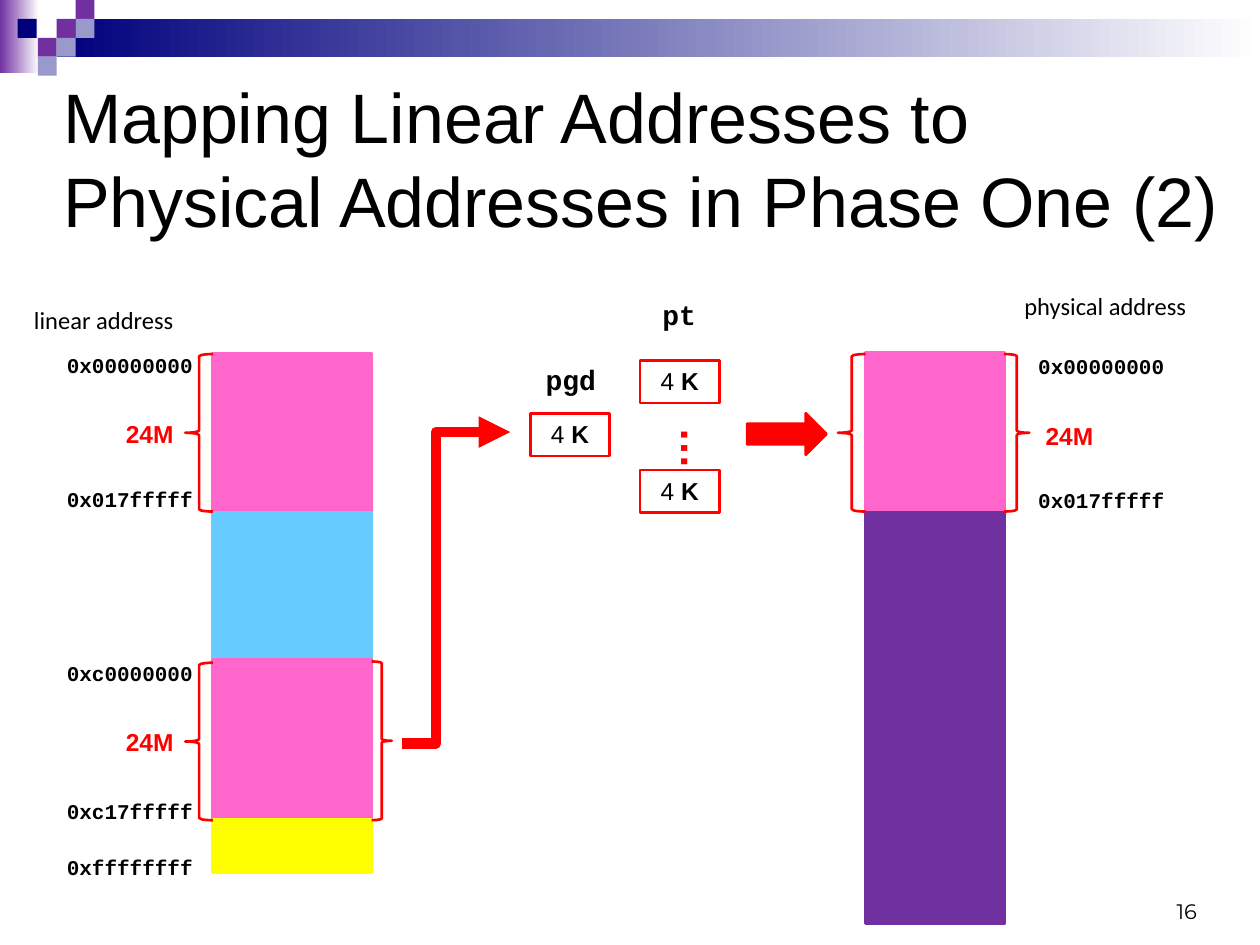
from dataclasses import dataclass

import pptx
import pptx.dml.color
import pptx.enum.shapes
import pptx.enum.text
import pptx.util
from lxml import etree
from pptx.oxml.ns import qn

RGBColor = pptx.dml.color.RGBColor
Shape = pptx.enum.shapes.MSO_SHAPE
Align = pptx.enum.text.PP_ALIGN
Anchor = pptx.enum.text.MSO_ANCHOR

PX = 9144  # EMU; 100 px to the inch

BLACK = RGBColor(0x00, 0x00, 0x00)
WHITE = RGBColor(0xFF, 0xFF, 0xFF)
RED = RGBColor(0xFF, 0x00, 0x00)
PINK = RGBColor(0xFF, 0x66, 0xCC)
SKY = RGBColor(0x66, 0xCC, 0xFF)
YELLOW = RGBColor(0xFF, 0xFF, 0x00)
PURPLE = RGBColor(0x70, 0x30, 0xA0)
NAVY = RGBColor(0x00, 0x00, 0x7D)
LAVENDER = RGBColor(0x99, 0x99, 0xCC)


@dataclass(frozen=True)
class Area:
    left: int
    top: int
    width: int
    height: int

    def emu(self) -> list[int]:
        return [side * PX for side in (self.left, self.top, self.width, self.height)]


@dataclass(frozen=True)
class TextStyle:
    font: str
    size: int
    color: RGBColor = BLACK
    bold: bool = False
    align: Align = Align.LEFT
    margins: tuple[int, int] = (0, 0)  # sides, top and bottom
    anchor: Anchor = Anchor.TOP


@dataclass(frozen=True)
class Label:
    text: str
    area: Area
    style: TextStyle


@dataclass(frozen=True)
class Block:
    area: Area
    color: RGBColor


@dataclass(frozen=True)
class Brace:
    kind: Shape
    area: Area


HEADING = TextStyle("Calibri", 14)
ADDRESS = TextStyle("Courier New", 12, bold=True, align=Align.RIGHT)
SIZE = TextStyle("Arial", 14, RED, True, margins=(10, 5))
TABLE_NAME = TextStyle("Courier New", 16, bold=True, align=Align.CENTER, margins=(10, 5))
PAGE_ENTRY = TextStyle("Arial", 14, align=Align.CENTER, margins=(10, 5))
DOTS = TextStyle("Arial", 24, RED, True, Align.CENTER, (5, 10))
TITLE = TextStyle("Arial", 40, anchor=Anchor.MIDDLE)
NUMBER = TextStyle("Montserrat", 12, align=Align.RIGHT, anchor=Anchor.BOTTOM)

GRADIENT_BARS = [Block(Area(0, 0, 31, 58), PURPLE), Block(Area(45, 15, 955, 30), NAVY)]
TILE = 15
TILES = [
    (45, 15, PURPLE), (60, 0, PURPLE), (60, 15, LAVENDER), (30, 30, PURPLE),
    (14, 15, NAVY), (45, 30, LAVENDER), (30, 45, LAVENDER),
]
MEMORY = [
    Block(Area(169, 281, 126, 125), PINK),
    Block(Area(169, 407, 126, 117), SKY),
    Block(Area(169, 524, 126, 127), PINK),
    Block(Area(169, 651, 126, 41), YELLOW),
    Block(Area(687, 280, 110, 128), PINK),
    Block(Area(687, 407, 110, 326), PURPLE),
]
BRACES = [
    Brace(Shape.LEFT_BRACE, Area(147, 281, 22, 125)),
    Brace(Shape.LEFT_BRACE, Area(147, 526, 22, 125)),
    Brace(Shape.RIGHT_BRACE, Area(295, 525, 16, 126)),
    Brace(Shape.LEFT_BRACE, Area(665, 281, 22, 125)),
    Brace(Shape.RIGHT_BRACE, Area(797, 281, 20, 125)),
]
LABELS = [
    Label("physical address", Area(813, 231, 159, 23), HEADING),
    Label("linear address", Area(27, 242, 120, 23), HEADING),
    Label("0x00000000", Area(42, 280, 111, 20), ADDRESS),
    Label("0x017fffff", Area(42, 386, 111, 20), ADDRESS),
    Label("0xc0000000", Area(42, 524, 111, 20), ADDRESS),
    Label("0xc17fffff", Area(42, 634, 111, 20), ADDRESS),
    Label("0xffffffff", Area(42, 678, 111, 20), ADDRESS),
    Label("0x00000000", Area(813, 281, 111, 20), ADDRESS),
    Label("0x017fffff", Area(813, 387, 111, 20), ADDRESS),
    Label("24M", Area(90, 328, 71, 34), SIZE),
    Label("24M", Area(90, 572, 71, 34), SIZE),
    Label("24M", Area(820, 329, 71, 34), SIZE),
    Label("pt", Area(492, 231, 94, 37), TABLE_NAME),
    Label("pgd", Area(406, 283, 94, 37), TABLE_NAME),
    Label("16", Area(717, 713, 233, 20), NUMBER),
]
PAGES = [Area(421, 328, 63, 34), Area(508, 286, 63, 34), Area(508, 373, 63, 34)]
ELBOW = [(319, 590), (346, 590), (346, 343), (405, 343)]


def add_span(para, text: str, style: TextStyle, bold: bool) -> None:
    span = para.add_run()
    span.text = text
    span.font.name = style.font
    span.font.size = pptx.util.Pt(style.size)
    span.font.bold = bold
    span.font.color.rgb = style.color


def fill_text(box, spans: list[tuple[str, bool]], style: TextStyle) -> None:
    """Write (text, bold) spans as one paragraph of the box."""
    frame = box.text_frame
    frame.word_wrap = True
    frame.auto_size = pptx.enum.text.MSO_AUTO_SIZE.NONE
    frame.vertical_anchor = style.anchor
    frame.margin_left = frame.margin_right = style.margins[0] * PX
    frame.margin_top = frame.margin_bottom = style.margins[1] * PX
    para = frame.paragraphs[0]
    para.alignment = style.align
    for text, bold in spans:
        add_span(para, text, style, bold)


def add_label(page, label: Label):
    box = page.shapes.add_textbox(*label.area.emu())
    fill_text(box, [(label.text, label.style.bold)], label.style)
    return box


def add_figure(page, kind: Shape, area: Area, fill: RGBColor | None = None,
               line: RGBColor | None = None, weight: float = 1.5):
    figure = page.shapes.add_shape(kind, *area.emu())
    figure.shadow.inherit = False
    if fill is None:
        figure.fill.background()
    else:
        figure.fill.solid()
        figure.fill.fore_color.rgb = fill
    if line is None:
        figure.line.fill.background()
    else:
        figure.line.color.rgb = line
        figure.line.width = pptx.util.Pt(weight)
    return figure


def add_header_band(page) -> None:
    for block in GRADIENT_BARS:
        bar = add_figure(page, Shape.RECTANGLE, block.area)
        bar.fill.gradient()
        bar.fill.gradient_angle = 0
        for stop, color in zip(bar.fill.gradient_stops, (block.color, WHITE)):
            stop.color.rgb = color
    for left, top, color in TILES:
        add_figure(page, Shape.RECTANGLE, Area(left, top, TILE, TILE), color)


def add_elbow_arrow(page, points: list[tuple[int, int]]) -> None:
    builder = page.shapes.build_freeform(*points[0], scale=PX)
    builder.add_line_segments(points[1:], close=False)
    arrow = builder.convert_to_shape()
    arrow.shadow.inherit = False
    arrow.fill.background()
    arrow.line.color.rgb = RED
    arrow.line.width = pptx.util.Pt(6)
    etree.SubElement(arrow.line._get_or_add_ln(), qn("a:tailEnd"), type="triangle")


def main() -> None:
    deck = pptx.Presentation()
    deck.slide_width, deck.slide_height = 1000 * PX, 750 * PX
    page = deck.slides.add_slide(deck.slide_layouts[5])

    title = page.shapes.title
    title.left, title.top, title.width, title.height = Area(50, 50, 930, 150).emu()
    heading = "Mapping Linear Addresses to Physical Addresses in Phase One (2)"
    fill_text(title, [(heading, False)], TITLE)

    add_header_band(page)
    for block in MEMORY:
        add_figure(page, Shape.RECTANGLE, block.area, block.color, block.color, 2)
    for brace in BRACES:
        add_figure(page, brace.kind, brace.area, line=RED)
    for label in LABELS:
        add_label(page, label)
    for area in PAGES:
        box = add_figure(page, Shape.RECTANGLE, area, line=RED)
        fill_text(box, [("4 ", False), ("K", True)], PAGE_ENTRY)

    dots = add_label(page, Label("…", Area(519, 329, 60, 33), DOTS))
    dots.text_frame._txBody.bodyPr.set("vert", "eaVert")
    add_figure(page, Shape.RIGHT_ARROW, Area(593, 328, 63, 33), RED, RED)
    add_elbow_arrow(page, ELBOW)
    deck.save("out.pptx")


if __name__ == "__main__":
    main()
